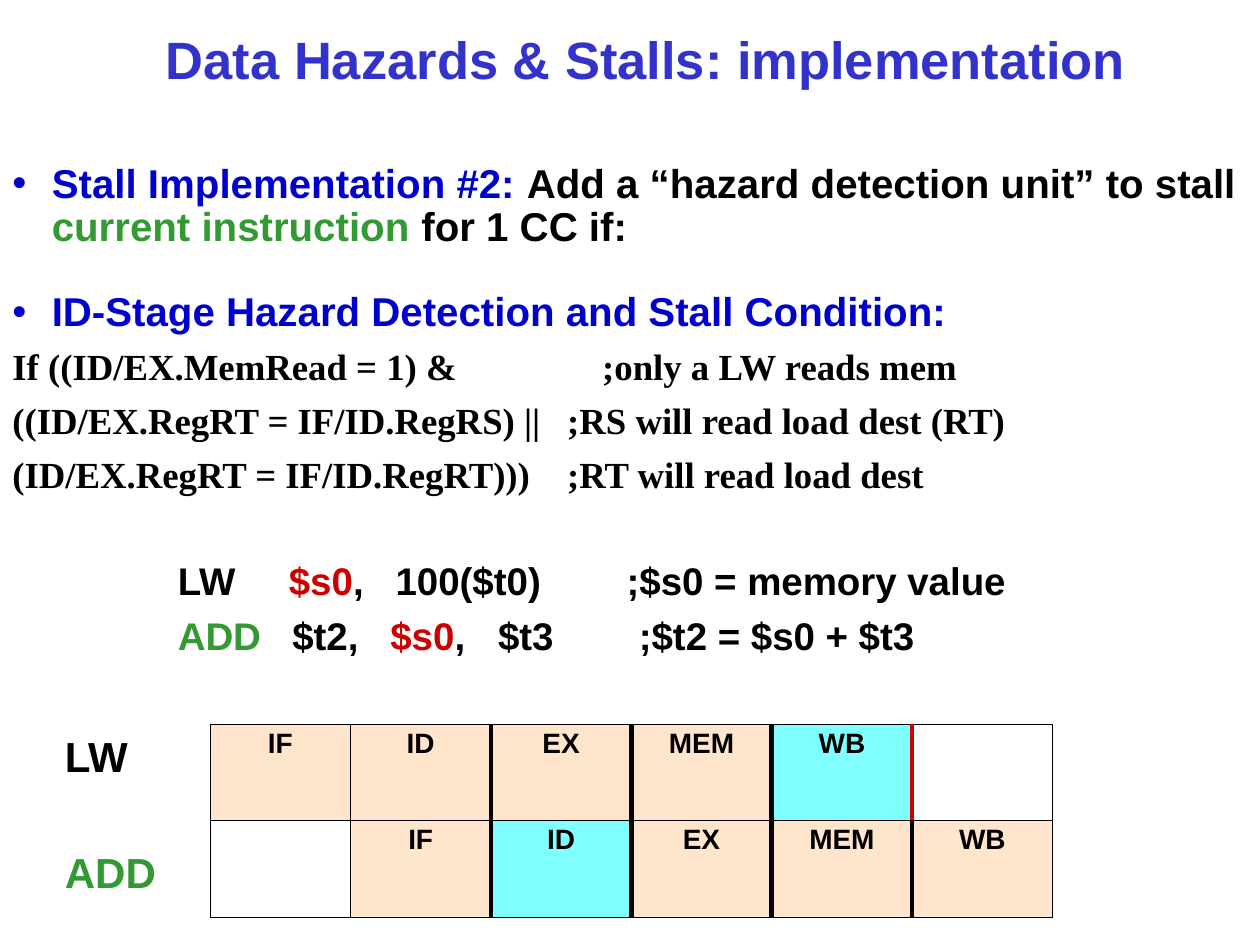
import pptx
import pptx.dml.color
import pptx.enum.text
import pptx.oxml.ns
import pptx.util
from lxml import etree

Pt = pptx.util.Pt
ALIGN = pptx.enum.text.PP_ALIGN
ANCHOR = pptx.enum.text.MSO_ANCHOR
BLACK, BLUE, TITLE_BLUE = "000000", "0000CC", "3333CC"
GREEN, RED, PEACH, CYAN = "339933", "CC0000", "FFCC99", "00FFFF"
SERIF = "Times New Roman"


def rgb(value):
    return pptx.dml.color.RGBColor.from_string(value)


def child(parent, tag, **attrs):
    el = etree.SubElement(parent, pptx.oxml.ns.qn(tag))
    for name, value in attrs.items():
        el.set(name, str(value))
    return el


def add_run(p, text, size=22, color=BLACK, font="Arial", bold=True):
    r = p.add_run()
    r.text = text
    r.font.size, r.font.name, r.font.bold = Pt(size), font, bold
    r.font.color.rgb = rgb(color)


class SlideBuilder:
    def __init__(self, prs):
        self.slide = prs.slides.add_slide(prs.slide_layouts[5])

    def title(self, text, left, top, width, height):
        sp = self.slide.shapes.title
        sp.left, sp.top, sp.width, sp.height = map(Pt, (left, top, width, height))
        tf = sp.text_frame
        tf.word_wrap, tf.vertical_anchor = True, ANCHOR.MIDDLE
        p = tf.paragraphs[0]
        p.alignment, p.line_spacing = ALIGN.CENTER, 0.9
        add_run(p, text, size=30, color=TITLE_BLUE)

    def text_box(self, paragraphs, left, top, width, height, line_spacing=1.0):
        """Each paragraph is (space before, options, runs)."""
        sp = self.slide.shapes.add_textbox(*map(Pt, (left, top, width, height)))
        tf = sp.text_frame
        tf.word_wrap = True
        for i, (before, options, runs) in enumerate(paragraphs):
            p = tf.paragraphs[0] if i == 0 else tf.add_paragraph()
            p.line_spacing = line_spacing
            if i:
                p.space_before = Pt(before)
            if options.get("bullet"):
                self.bullet(p, options["bullet"])
            if options.get("tabs"):
                self.tabs(p, options["tabs"])
            for text, fmt in runs:
                add_run(p, text, **fmt)

    def bullet(self, p, color, indent=22.5):
        pPr = p._p.get_or_add_pPr()
        pPr.set("marL", str(Pt(indent)))
        pPr.set("indent", str(-Pt(indent)))
        child(child(pPr, "a:buClr"), "a:srgbClr", val=color)
        child(pPr, "a:buFont", typeface="Arial")
        child(pPr, "a:buChar", char="•")

    def tabs(self, p, stops):
        tab_list = child(p._p.get_or_add_pPr(), "a:tabLst")
        for stop in stops:
            child(tab_list, "a:tab", pos=Pt(stop), algn="l")

    def border(self, cell, side, color, width):
        ln = child(cell._tc.get_or_add_tcPr(), "a:ln" + side, w=Pt(width))
        child(child(ln, "a:solidFill"), "a:srgbClr", val=color)

    def pipeline(self, rows, left, top, width, height):
        n_cols = len(rows[0])
        frame = self.slide.shapes.add_table(
            len(rows), n_cols, *map(Pt, (left, top, width, height)))
        table = frame.table
        table.first_row = table.horz_banding = False
        for y, row in enumerate(rows):
            for x, (text, color) in enumerate(row):
                cell = table.cell(y, x)
                # Clock edges after the second column are heavy
                for side, edge in (("L", x), ("R", x + 1)):
                    heavy = 2 <= edge < n_cols
                    edge_color = RED if (y, edge) == (0, 5) else BLACK
                    self.border(cell, side, edge_color, 3 if heavy else 0.45)
                for side in "TB":
                    self.border(cell, side, BLACK, 0.45)
                if not text:
                    cell.fill.background()
                    continue
                cell.fill.solid()
                cell.fill.fore_color.rgb = rgb(color)
                clr = cell._tc.tcPr.find(pptx.oxml.ns.qn("a:solidFill"))[0]
                child(clr, "a:alpha", val=50000)
                cell.margin_left = cell.margin_right = Pt(3.6)
                cell.margin_top = cell.margin_bottom = Pt(3.6)
                p = cell.text_frame.paragraphs[0]
                p.alignment, p.line_spacing = ALIGN.CENTER, 0.9
                add_run(p, text, size=16)


def main():
    prs = pptx.Presentation()
    prs.slide_width, prs.slide_height = Pt(720), Pt(540)
    s = SlideBuilder(prs)
    s.title("Data Hazards & Stalls: implementation", 18, 12, 702, 48)

    # Stall rule, detection condition and example code
    head = {"size": 23, "color": BLUE}
    plain = {"size": 23}
    rule = {"size": 21, "font": SERIF}
    s.text_box([
        (0, {"bullet": BLUE}, [
            ("Stall Implementation #2: ", head),
            ("Add a “hazard detection unit” to stall ", plain),
            ("current instruction", {"size": 23, "color": GREEN}),
            (" for 1 CC if:", plain)]),
        (23.5, {"bullet": BLUE}, [
            ("ID-Stage Hazard Detection and Stall Condition:", head)]),
        (8, {"tabs": [337]}, [
            ("If ((ID/EX.MemRead = 1) &\t;only a LW reads mem", rule)]),
        (8, {"tabs": [317]}, [
            ("((ID/EX.RegRT = IF/ID.RegRS) ||\t;RS will read load dest (RT)", rule)]),
        (8, {"tabs": [317]}, [
            ("(ID/EX.RegRT = IF/ID.RegRT)))\t;RT will read load dest", rule)]),
        (37.5, {"tabs": [94.5, 158, 219, 351]}, [
            ("\tLW\t", {}), ("$s0", {"color": RED}),
            (",\t100($t0)\t;$s0 = memory value", {})]),
        (8, {"tabs": [94.5, 160, 216, 277.5, 358]}, [
            ("\tADD", {"color": GREEN}), ("\t$t2,\t", {}),
            ("$s0", {"color": RED}), (",\t$t3\t;$t2 = $s0 + $t3", {})]),
    ], 0, 90, 744, 342, line_spacing=0.9)

    # Row labels
    s.text_box([
        (0, {}, [("LW", {"size": 24})]),
        (37.5, {}, [("ADD", {"size": 24, "color": GREEN})]),
    ], 30, 414, 72, 102)

    # Pipeline stages, one column per clock cycle
    empty = ("", None)
    stages = ["IF", "ID", "EX", "MEM", "WB"]

    def shaded(active):
        return [(name, CYAN if name == active else PEACH) for name in stages]

    s.pipeline([shaded("WB") + [empty], [empty] + shaded("ID")],
               120, 414, 481.5, 110)
    prs.save("out.pptx")


if __name__ == "__main__":
    main()
